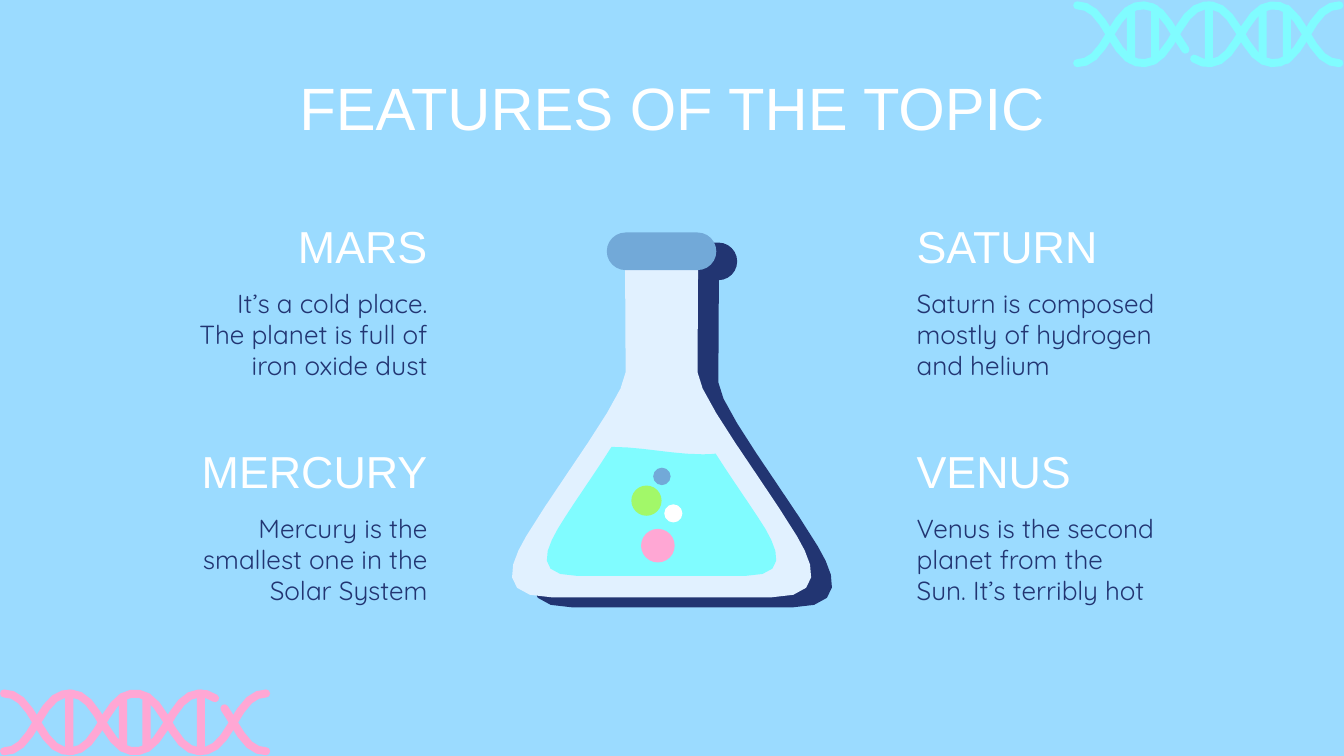
from math import atan2, cos, pi, sin

from pptx import Presentation
from pptx.dml.color import RGBColor
from pptx.enum.shapes import MSO_SHAPE
from pptx.enum.text import MSO_ANCHOR, PP_ALIGN
from pptx.util import Inches, Pt

SKY, NAVY, WHITE = "9BDBFF", "223572", "FFFFFF"
AQUA, PINK, GREEN = "80FCFF", "FFA7D4", "A2F869"
STEEL, GLASS = "72A9D8", "E1F1FF"

HALF_TURN = 0.975
RADIUS = 0.06
SHADOW_X, SHADOW_Y = 0.31, 0.15

FLASK_START = (10.39, 3.59)
FLASK = [
    (9.3, 3.59),
    (9.31, 5.54),
    (9.31, 5.88, 8.31, 7.18, 7.83, 7.98),
    (7.58, 8.4, 7.39, 8.89, 8.22, 8.89),
    (11.47, 8.89),
    (12.3, 8.89, 12.11, 8.4, 11.86, 7.98),
    (11.38, 7.18, 10.38, 5.88, 10.38, 5.54),
]
LIQUID_START = (9.1, 6.65)
LIQUID = [
    (8.85, 7.05, 8.51, 7.52, 8.3, 7.87),
    (8.11, 8.2, 7.96, 8.57, 8.59, 8.57),
    (11.09, 8.57),
    (11.73, 8.57, 11.58, 8.2, 11.39, 7.87),
    (11.19, 7.55, 10.89, 7.13, 10.65, 6.75),
    (10.58, 6.76, 10.51, 6.76, 10.44, 6.76),
    (10, 6.76, 9.56, 6.65, 9.1, 6.65),
]
BUBBLES = [
    (9.62, 7.45, 0.45, GREEN),
    (9.79, 8.12, 0.5, PINK),
    (10.02, 7.64, 0.27, WHITE),
    (9.85, 7.09, 0.26, STEEL),
]
PLANETS = [
    ("MARS", "It’s a cold place. The planet is full of iron oxide dust"),
    ("SATURN", "Saturn is composed mostly of hydrogen and helium"),
    ("MERCURY", "Mercury is the smallest one in the Solar System"),
    ("VENUS", "Venus is the second planet from the Sun. It’s terribly hot"),
]


def rgb(color):
    return RGBColor.from_string(color)


def paint(shape, color):
    shape.shadow.inherit = False
    shape.fill.solid()
    shape.fill.fore_color.rgb = rgb(color)
    shape.line.fill.background()


def add_outline(group, points, color):
    corners = [(Inches(x), Inches(y)) for x, y in points]
    builder = group.shapes.build_freeform(*corners[0], scale=1.0)
    builder.add_line_segments(corners[1:], close=True)
    paint(builder.convert_to_shape(), color)


def add_preset(group, kind, left, top, width, height, color):
    shape = group.shapes.add_shape(
        kind, Inches(left), Inches(top), Inches(width), Inches(height)
    )
    if kind == MSO_SHAPE.ROUNDED_RECTANGLE:
        shape.adjustments[0] = 0.5
    paint(shape, color)


def flatten(start, segments, shift=(0, 0), steps=6):
    points = [start]
    for segment in segments:
        if len(segment) == 2:
            points.append(segment)
            continue
        x0, y0 = points[-1]
        x1, y1, x2, y2, x3, y3 = segment
        for step in range(1, steps + 1):
            t = step / steps
            a, b, c, d = (1 - t) ** 3, 3 * t * (1 - t) ** 2, 3 * t * t * (1 - t), t**3
            points.append(
                (a * x0 + b * x1 + c * x2 + d * x3, a * y0 + b * y1 + c * y2 + d * y3)
            )
    return [(x + shift[0], y + shift[1]) for x, y in points]


def ribbon(origin, middle, first, last, sign):
    count = max(5, round((last - first) * 8))
    spine = []
    for step in range(count + 1):
        x = first + (last - first) * step / count
        phase = pi * (x - origin) / HALF_TURN
        y = middle - sign * 0.43 * (cos(phase) - 0.05 * cos(3 * phase)) / 0.95
        rise = sin(phase) - 0.15 * sin(3 * phase)
        slope = sign * 0.43 * pi / HALF_TURN * rise / 0.95
        spine.append((x, y, atan2(slope, 1)))
    cap = [pi * step / 4 for step in range(1, 4)]
    (x0, y0, turn0), (x1, y1, turn1) = spine[0], spine[-1]
    rim = [(x, y, turn - pi / 2) for x, y, turn in spine]
    rim += [(x1, y1, turn1 - pi / 2 + angle) for angle in cap]
    rim += [(x, y, turn + pi / 2) for x, y, turn in reversed(spine)]
    rim += [(x0, y0, turn0 + pi / 2 + angle) for angle in cap]
    return [(x + RADIUS * cos(a), y + RADIUS * sin(a)) for x, y, a in rim]


def add_helix(page, origin, middle, gap, short_rungs, long_rungs, color):
    group = page.shapes.add_group_shape()
    end = origin + 4 * HALF_TURN
    strands = [(origin, end, 1), (origin, gap[0], -1), (gap[1], end, -1)]
    for first, last, sign in strands:
        add_outline(group, ribbon(origin, middle, first, last, sign), color)
    for height, rungs in [(0.88, short_rungs), (0.98, long_rungs)]:
        for left in rungs:
            add_preset(group, MSO_SHAPE.ROUNDED_RECTANGLE, left,
                       middle - height / 2, 2 * RADIUS, height, color)


def add_flask(page):
    group = page.shapes.add_group_shape()
    for shift, body, lip in [
        ((SHADOW_X, SHADOW_Y), NAVY, NAVY),
        ((0, 0), GLASS, STEEL),
    ]:
        add_outline(group, flatten(FLASK_START, FLASK, shift), body)
        add_preset(group, MSO_SHAPE.ROUNDED_RECTANGLE,
                   9.03 + shift[0], 3.46 + shift[1], 1.63, 0.56, lip)
    add_outline(group, flatten(LIQUID_START, LIQUID), AQUA)
    for x, y, size, color in BUBBLES:
        add_preset(group, MSO_SHAPE.OVAL, x - size / 2, y - size / 2, size, size, color)


def add_text(page, place, text, size, font, color, align, spacing=None):
    box = page.shapes.add_textbox(*[Inches(length) for length in place])
    frame = box.text_frame
    frame.word_wrap = True
    frame.vertical_anchor = MSO_ANCHOR.MIDDLE
    frame.margin_left = frame.margin_right = Inches(0.2)
    frame.margin_top = frame.margin_bottom = Inches(0.2)
    para = frame.paragraphs[0]
    para.text = text
    para.alignment = align
    para.line_spacing = spacing
    para.font.size = Pt(size)
    para.font.name = font
    para.font.color.rgb = rgb(color)


def add_planet(page, index, name, description):
    row, column = divmod(index, 2)
    top = 3.26 + 3.35 * row
    align = PP_ALIGN.LEFT if column else PP_ALIGN.RIGHT
    name_left, text_left = (13.44, 13.44) if column else (2.05, 2.56)
    add_text(page, (name_left, top, 4.51, 0.8), name, 48, "Arial", WHITE, align)
    add_text(page, (text_left, top + 0.71, 4, 2), description, 28, "Quicksand",
             NAVY, align)


def main():
    deck = Presentation()
    deck.slide_width, deck.slide_height = Inches(20), Inches(11.25)
    page = deck.slides.add_slide(deck.slide_layouts[6])
    page.background.fill.solid()
    page.background.fill.fore_color.rgb = rgb(SKY)
    add_helix(page, 16.03, 0.51, (17.64, 17.77),
              [16.77, 17.13, 18.73, 19.09], [17.93], AQUA)
    add_helix(page, 0.06, 10.75, (3.2, 3.34), [1.77, 2.12], [0.97, 2.93], PINK)
    add_text(page, (1.59, 1.19, 16.82, 1), "FEATURES OF THE TOPIC", 64, "Arial",
             WHITE, PP_ALIGN.CENTER, 0.8)
    for index, (name, description) in enumerate(PLANETS):
        add_planet(page, index, name, description)
    add_flask(page)
    deck.save("out.pptx")


if __name__ == "__main__":
    main()
